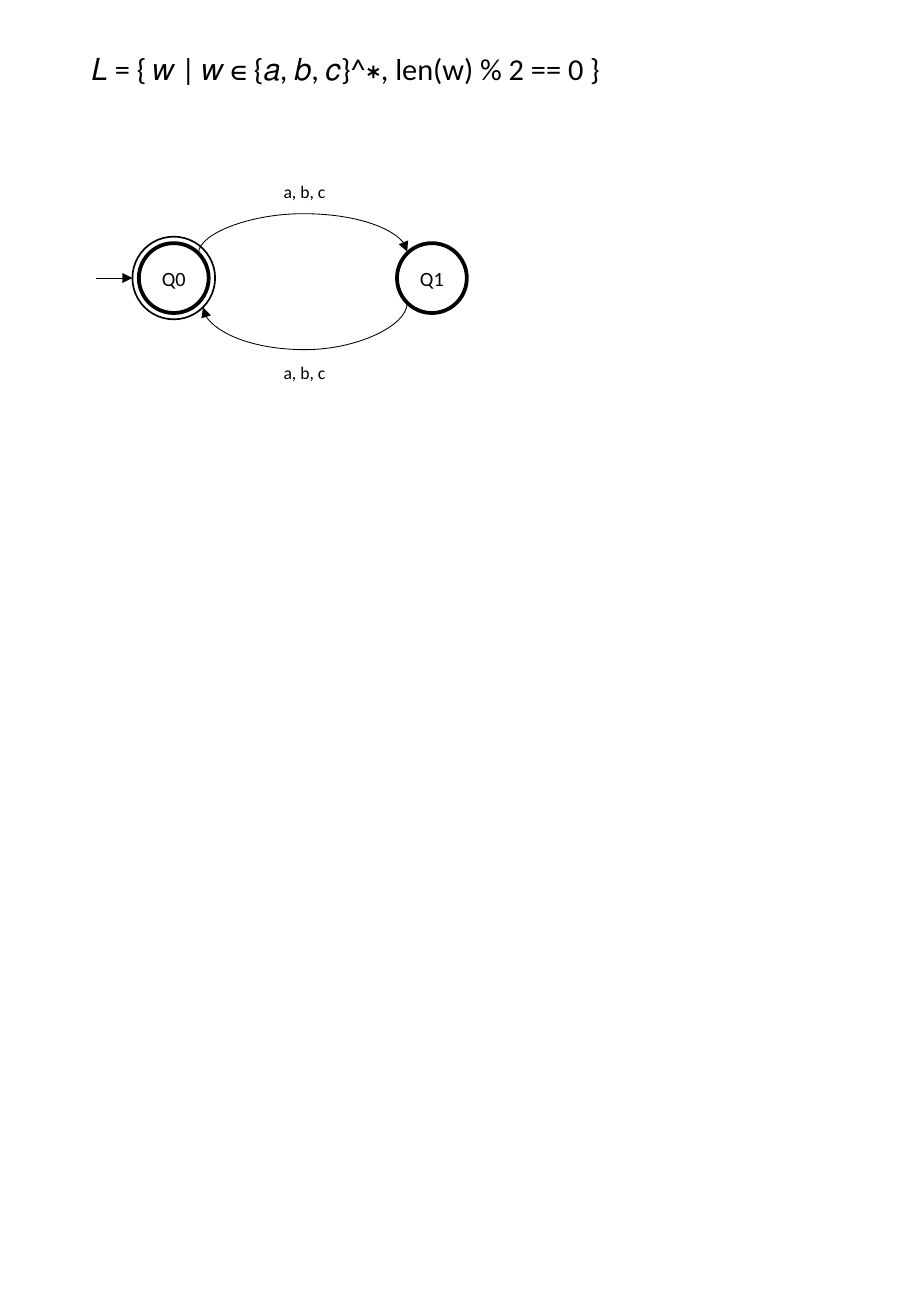
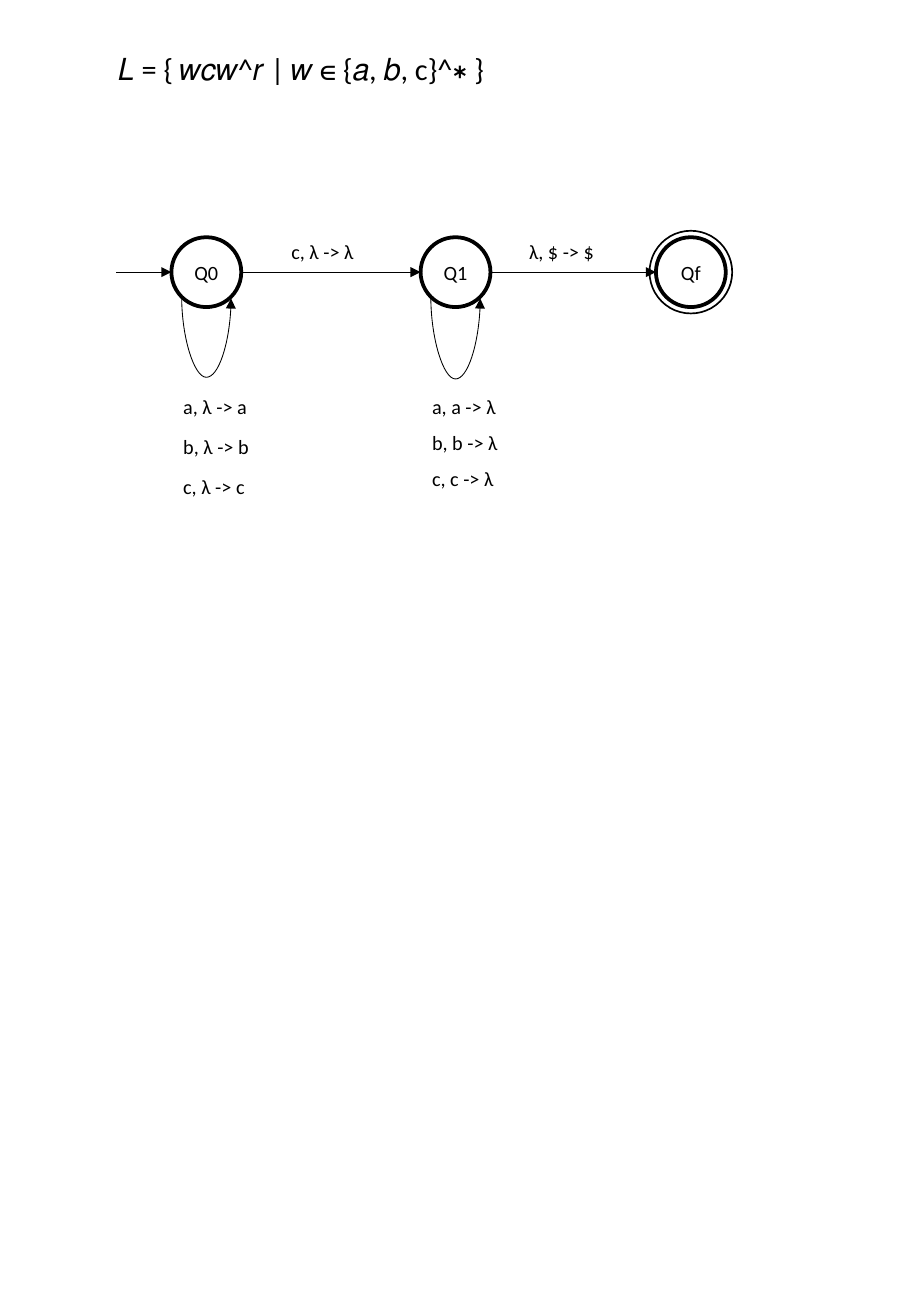
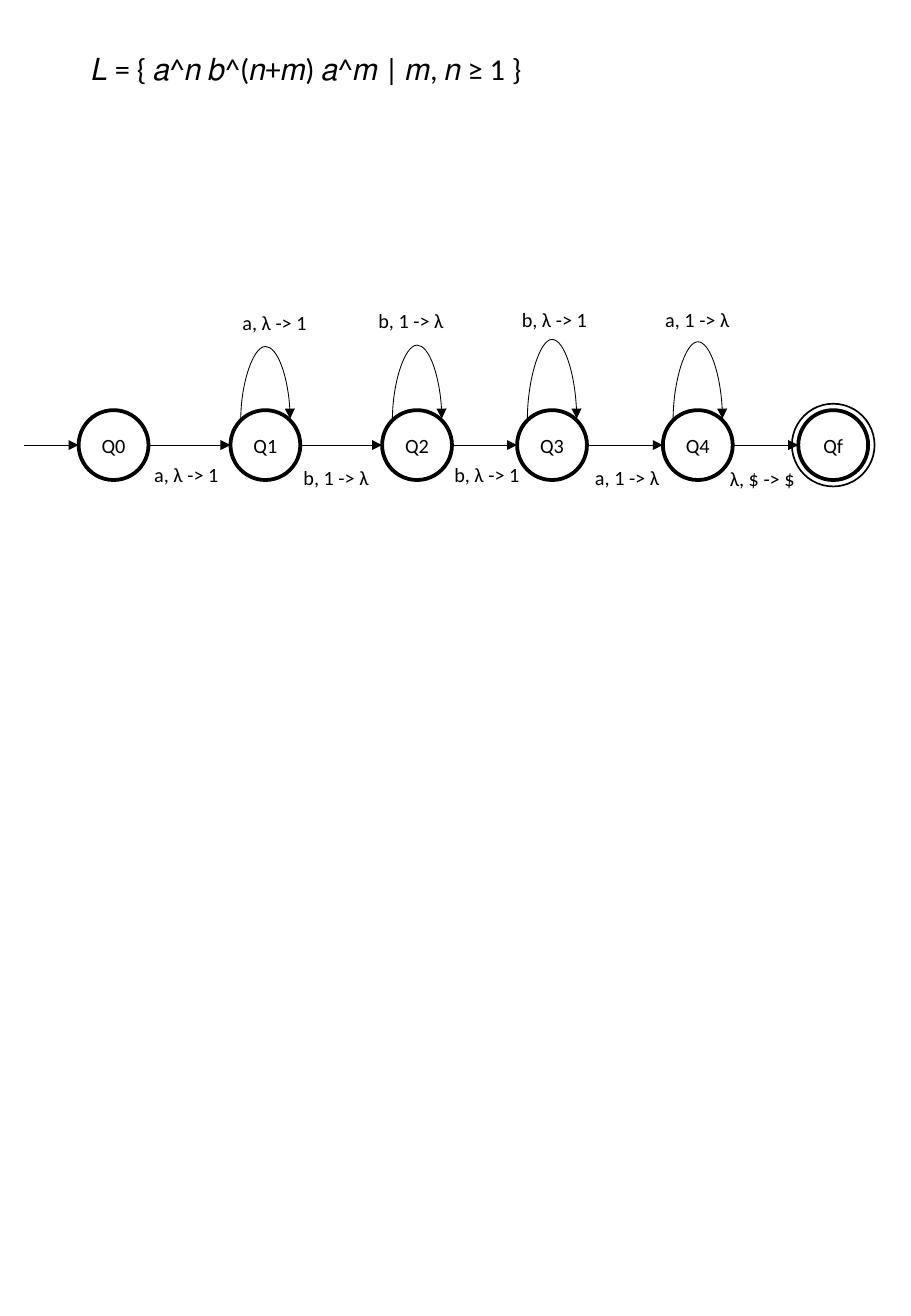
from dataclasses import dataclass
from math import sqrt

from lxml import etree
from pptx import Presentation
from pptx.dml.color import RGBColor
from pptx.enum.shapes import MSO_CONNECTOR as CONN, MSO_SHAPE as SHAPE
from pptx.enum.text import MSO_ANCHOR as ANCHOR, MSO_AUTO_SIZE as AUTO, PP_ALIGN as ALIGN
from pptx.oxml.ns import qn
from pptx.util import Pt


@dataclass(frozen=True)
class Theme:
    """Colours, type sizes, line widths and radii shared by all slides."""
    ink: RGBColor = RGBColor(0, 0, 0)
    font: str = "Calibri"
    title: float = 18
    text: float = 12
    small: float = 10.5
    state_line: float = 2.25
    ring_line: float = 1
    arrow_line: float = 0.5
    radius: float = 20.7
    ring: float = 24.5


T = Theme()
TITLE_ONLY = 5

# (end is right of start, end is below start): rotation and flips of the curve
TURNS = {
    (True, False): (90, ("flipH", "flipV")),
    (False, True): (90, ()),
    (True, True): (270, ("flipH",)),
}


@dataclass(frozen=True)
class State:
    """A state of the automaton, placed by its centre."""
    name: str
    x: float
    y: float
    final: bool = False

    def corner(self, right, down, radius=T.radius):
        """Return the point on the circle at 45 degrees; signs are -1 or 1."""
        d = radius / sqrt(2)
        return self.x + right * d, self.y + down * d


def add_run(p, text, size):
    """Append one run in the theme font."""
    r = p.add_run()
    r.text = text
    r.font.name = T.font
    r.font.size = Pt(size)
    r.font.color.rgb = T.ink


def add_title(prs, text, left, width):
    """Add a slide and set its language definition as the title."""
    s = prs.slides.add_slide(prs.slide_layouts[TITLE_ONLY])
    sp = s.shapes.title
    sp.left, sp.top, sp.width, sp.height = Pt(left), Pt(26), Pt(width), Pt(29)
    tf = sp.text_frame
    tf.word_wrap = True
    tf.auto_size = AUTO.SHAPE_TO_FIT_TEXT
    tf.vertical_anchor = ANCHOR.TOP
    p = tf.paragraphs[0]
    p.alignment = ALIGN.LEFT
    add_run(p, text, T.title)
    return s


def add_label(s, text, left, top, size=T.text, width=53.5):
    """Add a one-line transition label."""
    sp = s.shapes.add_textbox(Pt(left), Pt(top), Pt(width), Pt(size * 1.22 + 7.2))
    tf = sp.text_frame
    tf.word_wrap = False
    tf.auto_size = AUTO.SHAPE_TO_FIT_TEXT
    add_run(tf.paragraphs[0], text, size)


def add_label_column(s, texts, left, top, step):
    """Stack labels at an equal step."""
    for i, text in enumerate(texts):
        add_label(s, text, left, top + i * step)


def add_circle(s, state, radius, width):
    """Add an unfilled circle around the centre of a state."""
    sp = s.shapes.add_shape(SHAPE.OVAL, Pt(state.x - radius), Pt(state.y - radius),
                            Pt(2 * radius), Pt(2 * radius))
    sp.shadow.inherit = False
    sp.fill.background()
    sp.line.color.rgb = T.ink
    sp.line.width = Pt(width)
    return sp


def add_state(s, state):
    """Draw a named state, with an outer ring if it is final."""
    tf = add_circle(s, state, T.radius, T.state_line).text_frame
    tf.margin_left = tf.margin_right = tf.margin_top = tf.margin_bottom = 0
    tf.word_wrap = True
    tf.vertical_anchor = ANCHOR.MIDDLE
    p = tf.paragraphs[0]
    p.alignment = ALIGN.CENTER
    add_run(p, state.name, T.text)
    if state.final:
        add_circle(s, state, T.ring, T.ring_line)


def add_arrow(s, start, end, kind=CONN.STRAIGHT):
    """Add a thin connector with a triangle at its end."""
    cx = s.shapes.add_connector(kind, *(Pt(v) for v in (*start, *end)))
    cx.line.color.rgb = T.ink
    cx.line.width = Pt(T.arrow_line)
    ln = cx.line._get_or_add_ln()
    etree.SubElement(ln, qn("a:tailEnd"), type="triangle")
    etree.SubElement(cx._element.spPr, qn("a:effectLst"))
    return cx


def add_arc(s, start, end, apex):
    """Add a curved arrow that swings out to the height apex."""
    (x1, y1), (x2, y2) = start, end
    rise, span = abs(y2 - y1), abs(x2 - x1)
    cx = add_arrow(s, start, end, CONN.CURVE)
    cx.left, cx.top = Pt((x1 + x2 - rise) / 2), Pt((y1 + y2 - span) / 2)
    cx.width, cx.height = Pt(rise), Pt(span)
    xfrm = cx._element.spPr.find(qn("a:xfrm"))
    for flip in ("flipH", "flipV"):
        xfrm.attrib.pop(flip, None)
    angle, flips = TURNS[x2 > x1, y2 > y1]
    xfrm.set("rot", str(angle * 60000))
    for flip in flips:
        xfrm.set(flip, "1")
    geom = cx._element.spPr.find(qn("a:prstGeom"))
    guides = geom.find(qn("a:avLst"))
    if guides is None:
        guides = etree.SubElement(geom, qn("a:avLst"))
    swing = round(abs(apex - y1) / rise * 100000)
    etree.SubElement(guides, qn("a:gd"), name="adj1", fmla=f"val {swing}")


def add_loop(s, state, apex):
    """Add a loop from a state to itself, above or below it."""
    side = 1 if apex > state.y else -1
    x, y = state.corner(1, side)
    add_arc(s, state.corner(-1, side), (x, y + side), apex)


def add_chain(s, states, entry):
    """Draw states in a row, with an entry arrow and one arrow per step."""
    tail = entry
    for state in states:
        add_state(s, state)
        add_arrow(s, (tail, state.y), (state.x - T.radius, state.y))
        tail = state.x + T.radius


def build_even_length(prs):
    """Words of even length: two states that alternate."""
    s = add_title(prs, "𝐿 = { 𝑤 | 𝑤 ∊ {𝑎, 𝑏, 𝑐}^∗, len(w) % 2 == 0 }", 46.8, 448.5)
    q0, q1 = State("Q0", 103, 164.8, final=True), State("Q1", 256, 164.8)
    for state in (q0, q1):
        add_state(s, state)
    add_arrow(s, (57, q0.y), (q0.x - T.ring, q0.y))
    x, y = q1.corner(-1, -1)
    add_arc(s, q0.corner(1, -1), (x, y - 1), 126.5)
    add_arc(s, q1.corner(-1, 1), q0.corner(1, 1, T.ring), 207.2)
    for top in (103.7, 211):
        add_label(s, "a, b, c", 161, top, T.small, 39.5)


def build_mirror(prs):
    """Mirrored words around c: a pushdown automaton with three states."""
    s = add_title(prs, "𝐿 = { 𝑤𝑐𝑤^𝑟 | 𝑤 ∊ {𝑎, 𝑏, c}^∗ }", 62.6, 326)
    y = 161.3
    q0, q1 = State("Q0", 122.3, y), State("Q1", 270, y)
    add_chain(s, (q0, q1, State("Qf", 409.5, y, final=True)), 69)
    add_loop(s, q0, 224)
    add_loop(s, q1, 225)
    add_label(s, "c, λ -> λ", 165.6, 138.3)
    add_label(s, "λ, $ -> $", 306.5, 138.3)
    add_label_column(s, ("a, λ -> a", "b, λ -> b", "c, λ -> c"), 101.5, 230.4, 23.7)
    add_label_column(s, ("a, a -> λ", "b, b -> λ", "c, c -> λ"), 249, 230.4, 21.2)


def build_counting(prs):
    """Matched counts: a pushdown automaton with six states."""
    s = add_title(prs, "𝐿 = { 𝑎^𝑛 𝑏^(𝑛+𝑚) 𝑎^𝑚 | 𝑚, 𝑛 ≥ 1 }", 46.8, 327.6)
    y = 263.8
    centres = (67.3, 157.3, 247.2, 327.2, 413.6)
    states = [State(f"Q{i}", x, y) for i, x in enumerate(centres)]
    add_chain(s, (*states, State("Qf", 493.9, y, final=True)), 14)
    for state, apex in zip(states[1:], (205, 204.2, 200.8, 202.2)):
        add_loop(s, state, apex)
    moves = ("a, λ -> 1", "b, 1 -> λ", "b, λ -> 1", "a, 1 -> λ", "λ, $ -> $")
    step_places = ((84.3, 270.7), (172.8, 272.2), (262.2, 270.7), (345.6, 272.2), (425.5, 272.9))
    loop_places = ((136.6, 180.2), (217.2, 179), (302.2, 178.8), (387.2, 178.6))
    for places in (step_places, loop_places):
        for text, place in zip(moves, places):
            add_label(s, text, *place)


def main():
    """Build the three slides and save them."""
    prs = Presentation()
    prs.slide_width, prs.slide_height = Pt(540), Pt(780)
    build_even_length(prs)
    build_mirror(prs)
    build_counting(prs)
    prs.save("out.pptx")


main()
